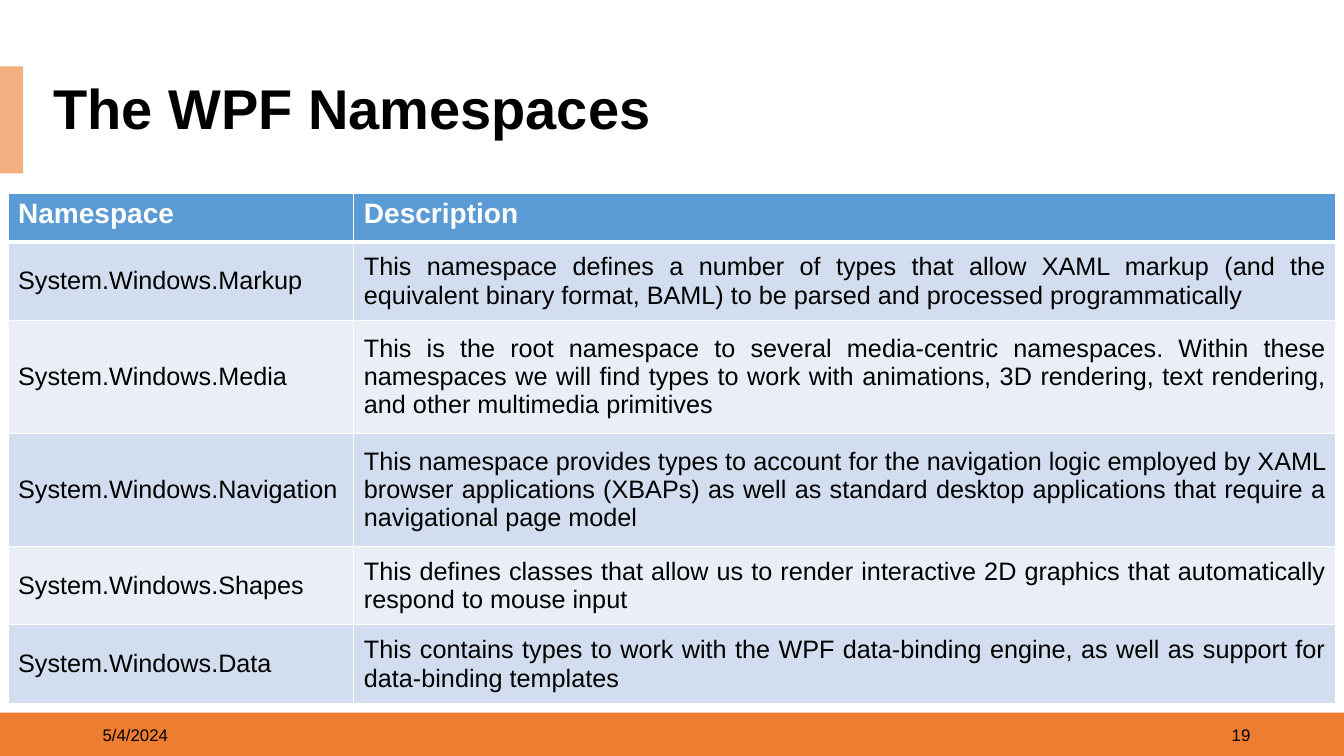
from lxml import etree
from pptx import Presentation, util as u
from pptx.dml.color import RGBColor
from pptx.enum import shapes, text
from pptx.oxml.ns import qn

W, H = 13.33, 7.5
C = {"orange": "ED7D31", "peach": "F4AF80", "blue": "5B9BD5",
     "band": "D2DEEF", "pale": "EAEFF7", "white": "FFFFFF", "black": "000000"}
AL, ANC = text.PP_ALIGN, text.MSO_ANCHOR

prs = Presentation()
prs.slide_width, prs.slide_height = u.Inches(W), u.Inches(H)
s = prs.slides.add_slide(prs.slide_layouts[6])


def write(tf, words, size, color="black", bold=False, align=AL.LEFT):
    tf.text = words
    tf.word_wrap = True
    p = tf.paragraphs[0]
    p.alignment = align
    f = p.runs[0].font
    f.name, f.size, f.bold = "Arial", u.Pt(size), bold
    f.color.rgb = RGBColor.from_string(C[color])
    return p


def border(cell, side, width):
    ln = etree.SubElement(cell._tc.get_or_add_tcPr(), qn("a:ln" + side), w=str(u.Pt(width)))
    fill = etree.SubElement(ln, qn("a:solidFill"))
    etree.SubElement(fill, qn("a:srgbClr"), val=C["white"])


# Footer bar and title accent
for box, color in [((0, 7.07, W, 0.44), "orange"), ((0, 0.66, 0.23, 1.06), "peach")]:
    sp = s.shapes.add_shape(shapes.MSO_SHAPE.RECTANGLE, *map(u.Inches, box))
    sp.shadow.inherit = False
    sp.fill.solid()
    sp.fill.fore_color.rgb = RGBColor.from_string(C[color])
    sp.line.fill.background()

# Date, slide number and title
for box, words, size, bold, align in [
    ((0.92, 7.09, 3, 0.4), "5/4/2024", 12, False, AL.LEFT),
    ((9.5, 7.09, 3, 0.4), "19", 12, False, AL.RIGHT),
    ((0.43, 0.79, W - 0.43, 0.63), "The WPF Namespaces", 40, True, AL.LEFT),
]:
    sp = s.shapes.add_textbox(*map(u.Inches, box))
    sp.text_frame.vertical_anchor = ANC.MIDDLE
    p = write(sp.text_frame, words, size, bold=bold, align=align)
    if bold:
        p.line_spacing = 0.9
        sp.fill.solid()
        sp.fill.fore_color.rgb = RGBColor.from_string(C["white"])

# Namespace table
rows = [
    ("Namespace", "Description"),
    ("System.Windows.Markup",
     "This namespace defines a number of types that allow XAML markup (and the "
     "equivalent binary format, BAML) to be parsed and processed programmatically"),
    ("System.Windows.Media",
     "This is the root namespace to several media-centric namespaces. Within these "
     "namespaces we will find types to work with animations, 3D rendering, text "
     "rendering, and other multimedia primitives"),
    ("System.Windows.Navigation",
     "This namespace provides types to account for the navigation logic employed by "
     "XAML browser applications (XBAPs) as well as standard desktop applications "
     "that require a navigational page model"),
    ("System.Windows.Shapes",
     "This defines classes that allow us to render interactive 2D graphics that "
     "automatically respond to mouse input"),
    ("System.Windows.Data",
     "This contains types to work with the WPF data-binding engine, as well as "
     "support for data-binding templates"),
]
widths = [3.43, 9.74]
heights = [0.48, 0.78, 1.12, 1.12, 0.78, 0.78]
tbl = s.shapes.add_table(len(rows), len(widths), u.Inches(0.08), u.Inches(1.92),
                         u.Inches(sum(widths)), u.Inches(sum(heights))).table
for col, width in zip(tbl.columns, widths):
    col.width = u.Inches(width)

for i, (row, height) in enumerate(zip(rows, heights)):
    tbl.rows[i].height = u.Inches(height)
    head = i == 0
    color = "blue" if head else ("pale", "band")[i % 2]
    for j, words in enumerate(row):
        cell = tbl.cell(i, j)
        cell.vertical_anchor = ANC.TOP if head else ANC.MIDDLE
        write(cell.text_frame, words, 20 if head else 18, "white" if head else "black",
              head, AL.JUSTIFY if j and not head else AL.LEFT)
        # The rule under the header is thicker than the others
        for side, width in [("L", 1), ("R", 1), ("T", 3 if i == 1 else 1), ("B", 3 if head else 1)]:
            border(cell, side, width)
        cell.fill.solid()
        cell.fill.fore_color.rgb = RGBColor.from_string(C[color])

prs.save("out.pptx")
